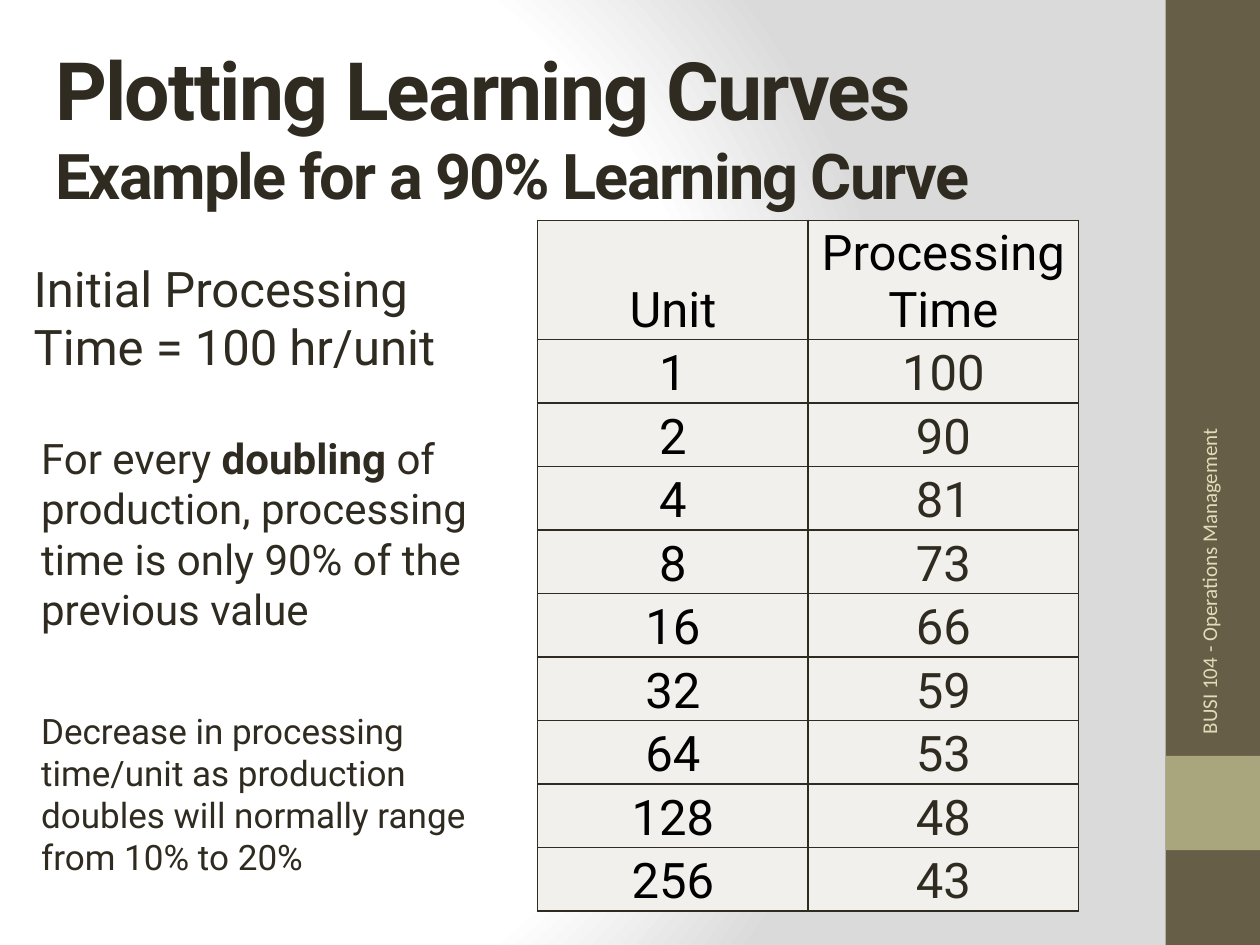
from lxml.etree import SubElement as Sub
from pptx import Presentation
from pptx.dml.color import RGBColor
from pptx.enum.shapes import MSO_SHAPE as Geo
from pptx.enum.text import MSO_ANCHOR as Anchor, MSO_AUTO_SIZE as Auto, PP_ALIGN as Align
from pptx.oxml.ns import qn
from pptx.util import Cm, Pt


def color(code):
    return RGBColor.from_string(code)


class Deck:
    ink = "2F2B20"
    black = "000000"
    pale = "F1F0EC"
    cream = "DFDCB7"
    brown = "675E47"
    sage = "A9A57C"
    face = "Roboto"

    def __init__(self):
        self.prs = Presentation()
        self.prs.slide_width, self.prs.slide_height = Cm(25.4), Cm(19.05)
        self.slide = self.prs.slides.add_slide(self.prs.slide_layouts[5])

    def style(self, run, size, tint=None, face=None, bold=False):
        font = run.font
        font.size, font.bold, font.name = Pt(size), bold, face or self.face
        font.color.rgb = color(tint or self.ink)

    def glow(self, stops, focus):
        self.slide.background.fill.gradient()
        grad = next(self.slide.element.iter(qn("a:gradFill")))
        for part in list(grad):
            grad.remove(part)
        row = Sub(grad, qn("a:gsLst"))
        for spot, code in stops:
            stop = Sub(row, qn("a:gs"), pos=str(spot * 1000))
            Sub(stop, qn("a:srgbClr"), val=code)
        ring = Sub(grad, qn("a:path"), path="circle")
        Sub(ring, qn("a:fillToRect"), {side: str(part * 1000) for side, part in zip("ltrb", focus)})

    def block(self, left, top, width, height, code):
        shape = self.slide.shapes.add_shape(Geo.RECTANGLE, Cm(left), Cm(top), Cm(width), Cm(height))
        shape.shadow.inherit = False
        shape.fill.solid()
        shape.fill.fore_color.rgb = color(code)
        shape.line.fill.background()

    def title(self, left, top, width, height, text, sizes):
        shape = self.slide.shapes.title
        shape.left, shape.top, shape.width, shape.height = Cm(left), Cm(top), Cm(width), Cm(height)
        frame = shape.text_frame
        frame.text = text
        frame.auto_size = Auto.NONE
        frame.vertical_anchor = Anchor.MIDDLE
        para = frame.paragraphs[0]
        para.alignment = Align.LEFT
        for run, size in zip(para.runs, sizes):
            self.style(run, size, bold=True)
            run.font._element.set("spc", "-100")

    def text(self, left, top, width, height, parts, size, tint=None, face=None, turn=0):
        box = self.slide.shapes.add_textbox(Cm(left), Cm(top), Cm(width), Cm(height))
        box.rotation = turn
        frame = box.text_frame
        frame.word_wrap = True
        if turn:
            frame.vertical_anchor = Anchor.MIDDLE
        else:
            frame.auto_size = Auto.SHAPE_TO_FIT_TEXT
        for words, bold in parts:
            run = frame.paragraphs[0].add_run()
            run.text = words
            self.style(run, size, tint, face, bold)

    def edge(self, cell):
        props = cell._tc.get_or_add_tcPr()
        for side in ("lnL", "lnR", "lnT", "lnB"):
            line = Sub(props, qn(f"a:{side}"), w=str(Pt(1)))
            Sub(Sub(line, qn("a:solidFill")), qn("a:srgbClr"), val=self.ink)

    def cell(self, cell, text, tint):
        self.edge(cell)
        cell.fill.solid()
        cell.fill.fore_color.rgb = color(self.pale)
        cell.margin_left = cell.margin_right = cell.margin_top = Cm(0.03)
        cell.margin_bottom = 0
        cell.vertical_anchor = Anchor.BOTTOM
        cell.text = text
        para = cell.text_frame.paragraphs[0]
        para.alignment = Align.CENTER
        self.style(para.runs[0], 28, tint)

    def table(self, left, top, width, head, row, data):
        tall = head + row * (len(data) - 1)
        grid = self.slide.shapes.add_table(
            len(data), len(data[0]), Cm(left), Cm(top), Cm(width), Cm(tall)).table
        grid.first_row = grid.horz_banding = False
        for r, line in enumerate(data):
            grid.rows[r].height = Cm(row if r else head)
            for c, value in enumerate(line):
                self.cell(grid.cell(r, c), str(value), self.ink if r and c else self.black)


def main():
    deck = Deck()
    deck.glow([(0, "FFFFFF"), (75, "FFFFFF"), (100, "DADADA")], (20, 50, 100, 50))
    deck.block(23.5, 0, 1.9, 19.05, deck.brown)
    deck.block(23.5, 15.24, 1.9, 1.9, deck.sage)
    deck.title(0.86, 0.64, 21.16, 3.81,
               "Plotting Learning Curves\vExample for a 90% Learning Curve", (46, 36))
    deck.text(19.71, 9.88, 9.32, 1.02, [("BUSI 104 - Operations Management", False)],
              12, deck.cream, "Calibri", 270)
    deck.text(0.43, 5.08, 9.42, 2.64, [("Initial Processing Time = 100 hr/unit", False)], 28)
    deck.text(0.58, 8.59, 9.25, 4.37, [
        ("For every ", False), ("doubling", True),
        (" of production, processing time is only 90% of the previous value", False)], 24)
    deck.text(0.58, 14.17, 10.16, 3.68, [
        ("Decrease in processing time/unit as production doubles "
         "will normally range from 10% to 20%", False)], 20)
    times = (100, 90, 81, 73, 66, 59, 53, 48, 43)
    data = [("Unit", "Processing Time")] + [(2 ** n, time) for n, time in enumerate(times)]
    deck.table(10.84, 4.44, 10.9, 2.35, 1.28, data)
    deck.prs.save("out.pptx")


if __name__ == "__main__":
    main()
